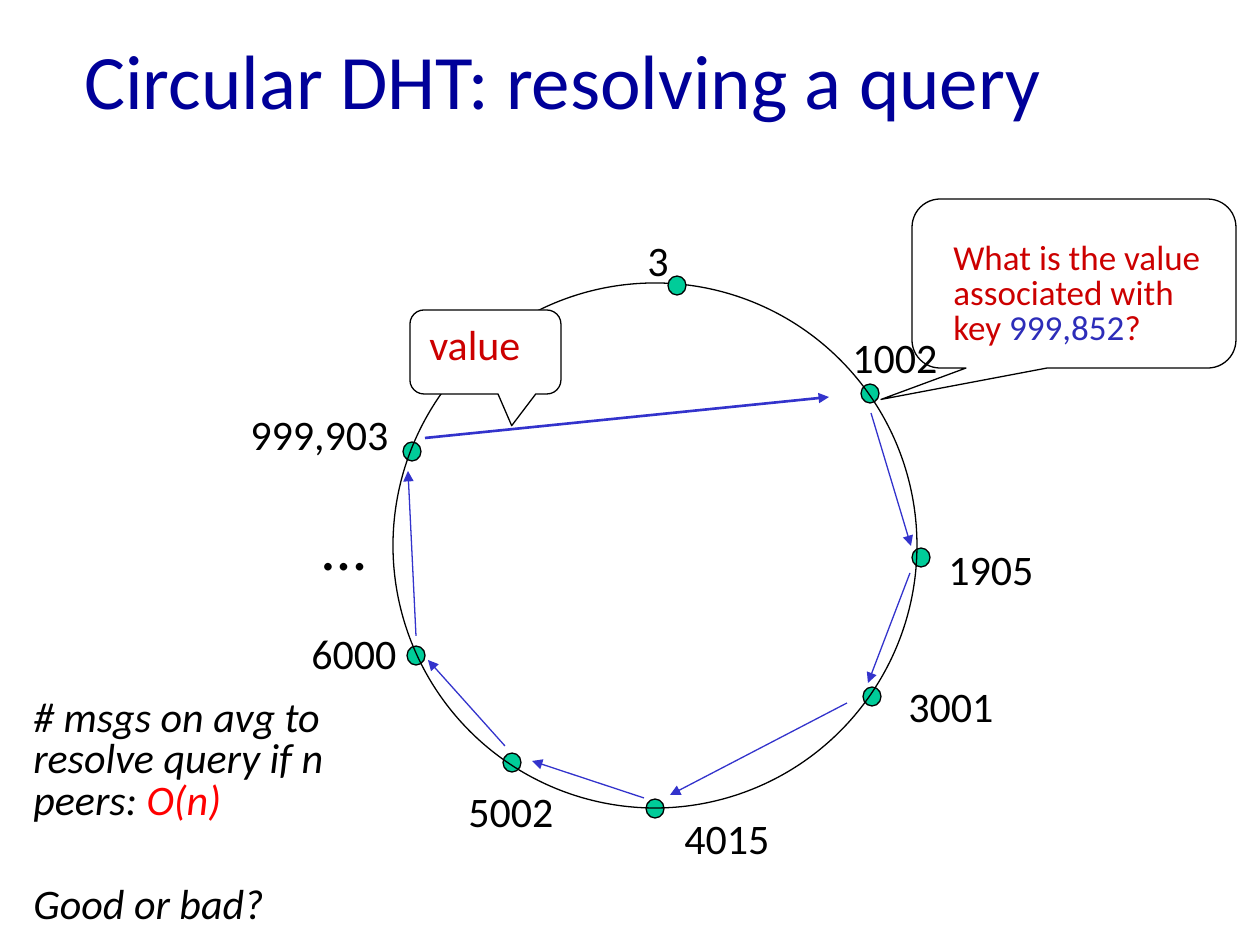
from lxml.etree import SubElement
from pptx import Presentation
from pptx.dml.color import RGBColor
from pptx.enum.shapes import MSO_CONNECTOR, MSO_SHAPE
from pptx.enum.text import MSO_ANCHOR, PP_ALIGN
from pptx.oxml.ns import qn
from pptx.util import Emu, Pt

PX_PER_INCH = 126
BLACK = RGBColor(0x00, 0x00, 0x00)
WHITE = RGBColor(0xFF, 0xFF, 0xFF)
GREEN = RGBColor(0x00, 0xCC, 0x99)
NAVY = RGBColor(0x00, 0x00, 0x99)
ARROW_BLUE = RGBColor(0x33, 0x33, 0xCC)
KEY_BLUE = RGBColor(0x2D, 0x2D, 0xB9)
DARK_RED = RGBColor(0xCC, 0x00, 0x00)
RED = RGBColor(0xFF, 0x00, 0x00)

# peer, node dot, label, label width; positions relative to the ring's box
FIRST_PEER = ("3", (275, -7), (242, -55), 47)
PEERS = [
    ("1002", (468, 101), (447, 42), 110),
    ("1905", (519, 265), (543, 254), 110),
    ("3001", (470, 404), (503, 391), 110),
    ("4015", (253, 516), (279, 523), 110),
    ("5002", (110, 470), (63, 496), 110),
    ("6000", (14, 363), (-94, 338), 110),
    ("999,903", (10, 159), (-155, 119), 163),
]
QUERY_HOPS = [
    ((478, 130), (518, 263)),
    ((517, 290), (475, 400)),
    ((454, 420), (277, 512)),
    ((251, 515), (139, 478)),
    ((112, 463), (35, 377)),
    ((23, 353), (15, 188)),
]


def px(*lengths):
    return [Emu(round(length * 914400 / PX_PER_INCH)) for length in lengths]


def add_outlined(shapes, kind, box, fill=None):
    shape = shapes.add_shape(kind, *px(*box))
    shape.shadow.inherit = False
    if fill is None:
        shape.fill.background()
    else:
        shape.fill.solid()
        shape.fill.fore_color.rgb = fill
    shape.line.color.rgb = BLACK
    shape.line.width = Pt(0.75)
    return shape


def add_callout(shapes, box, adjustments, fill=None):
    callout = add_outlined(shapes, MSO_SHAPE.ROUNDED_RECTANGULAR_CALLOUT, box, fill)
    for index, value in enumerate(adjustments):
        callout.adjustments[index] = value


def add_arrow(shapes, start, end, width=0.75):
    arrow = shapes.add_connector(MSO_CONNECTOR.STRAIGHT, *px(*start, *end))
    arrow.line.color.rgb = ARROW_BLUE
    arrow.line.width = Pt(width)
    SubElement(arrow.line._get_or_add_ln(), qn("a:tailEnd"), type="triangle")
    SubElement(arrow._element.spPr, qn("a:effectLst"))


def add_text(shapes, box, paragraphs, size, wrap=True, leading=None, gap=0,
             italic=None, anchor=MSO_ANCHOR.TOP):
    """Add paragraphs, each a list of (text, colour) runs; a newline breaks the line."""
    frame = shapes.add_textbox(*px(*box)).text_frame
    frame.word_wrap = wrap
    frame.vertical_anchor = anchor
    for number, runs in enumerate(paragraphs):
        paragraph = frame.add_paragraph() if number else frame.paragraphs[0]
        paragraph.alignment = PP_ALIGN.LEFT
        paragraph.font.name = "Calibri"
        paragraph.font.size = Pt(size)
        paragraph.font.italic = italic
        if leading:
            paragraph.line_spacing = Pt(leading)
        if number:
            paragraph.space_before = Pt(gap)
        for text, color in runs:
            for line_number, line in enumerate(text.split("\n")):
                if line_number:
                    paragraph.add_line_break()
                run = paragraph.add_run()
                run.text = line
                run.font.color.rgb = color


def add_ring(shapes, box):
    left, top, _, _ = box

    def at(point):
        return left + point[0], top + point[1]

    def add_node(dot):
        add_outlined(shapes, MSO_SHAPE.OVAL, (*at(dot), 18, 19), GREEN)

    for _, dot, _, _ in PEERS:
        add_node(dot)
    add_outlined(shapes, MSO_SHAPE.OVAL, box)
    add_node(FIRST_PEER[1])
    for peer, _, label, width in [FIRST_PEER, *PEERS]:
        add_text(shapes, (*at(label), width, 63), [[(peer, BLACK)]], 24, wrap=False)
    add_text(shapes, (*at((-83, 218)), 68, 88), [[("…", BLACK)]], 36, wrap=False)
    for start, end in QUERY_HOPS:
        add_arrow(shapes, at(start), at(end))


def add_query(shapes, box):
    left, top, _, _ = box
    group = shapes.add_group_shape().shapes
    add_callout(group, box, (-0.596, 0.686, 0.167))
    question = [("What is the value\nassociated with key ", DARK_RED),
                ("999,852", KEY_BLUE), ("?", DARK_RED)]
    add_text(group, (left + 29, top + 37, 277, 118), [question], 20, leading=20)


def add_reply(shapes, box):
    left, top, _, _ = box
    group = shapes.add_group_shape().shapes
    add_arrow(group, (left + 15, top + 128), (left + 419, top + 87), 1.5)
    add_callout(group, box, (0.174, 0.878, 0.167), WHITE)
    add_text(group, (left + 7, top + 2, 179, 63), [[("value", DARK_RED)]], 24)


def add_cost_note(shapes, box):
    cost = [("# msgs on avg to resolve query if n peers: ", BLACK), ("O(n)", RED)]
    add_text(shapes, box, [cost, [("Good or bad?", BLACK)]], 24,
             leading=23.7, gap=35.7, italic=True)


def main():
    deck = Presentation()
    deck.slide_width, deck.slide_height = px(1260, 945)
    shapes = deck.slides.add_slide(deck.slide_layouts[6]).shapes
    add_text(shapes, (72, 0, 1071, 157), [[("Circular DHT: resolving a query", NAVY)]],
             44, anchor=MSO_ANCHOR.MIDDLE)
    add_ring(shapes, (393, 283, 524, 525))
    add_query(shapes, (912, 199, 324, 169))
    add_reply(shapes, (410, 310, 151, 84))
    add_cost_note(shapes, (21, 693, 364, 242))
    deck.save("out.pptx")


if __name__ == "__main__":
    main()
